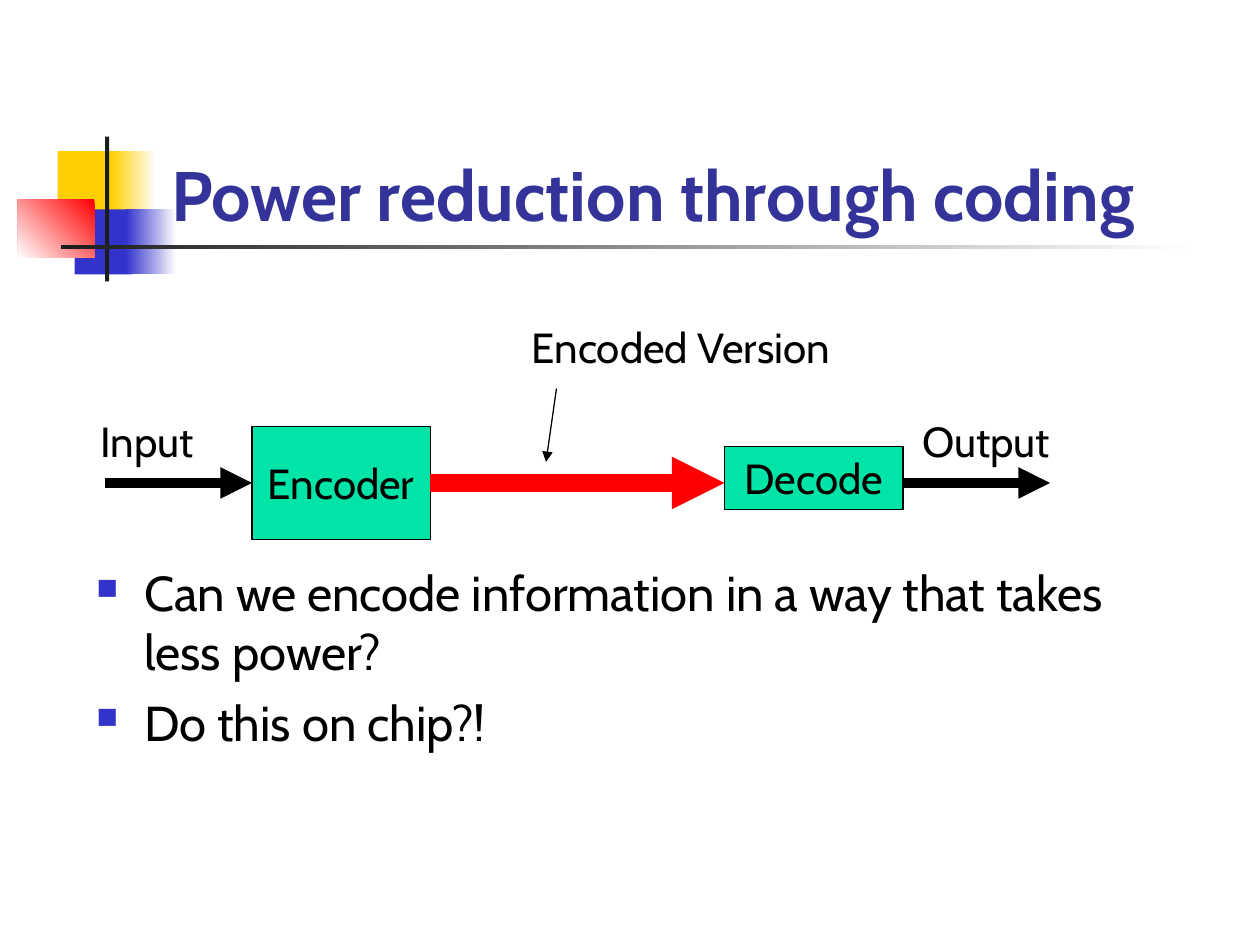
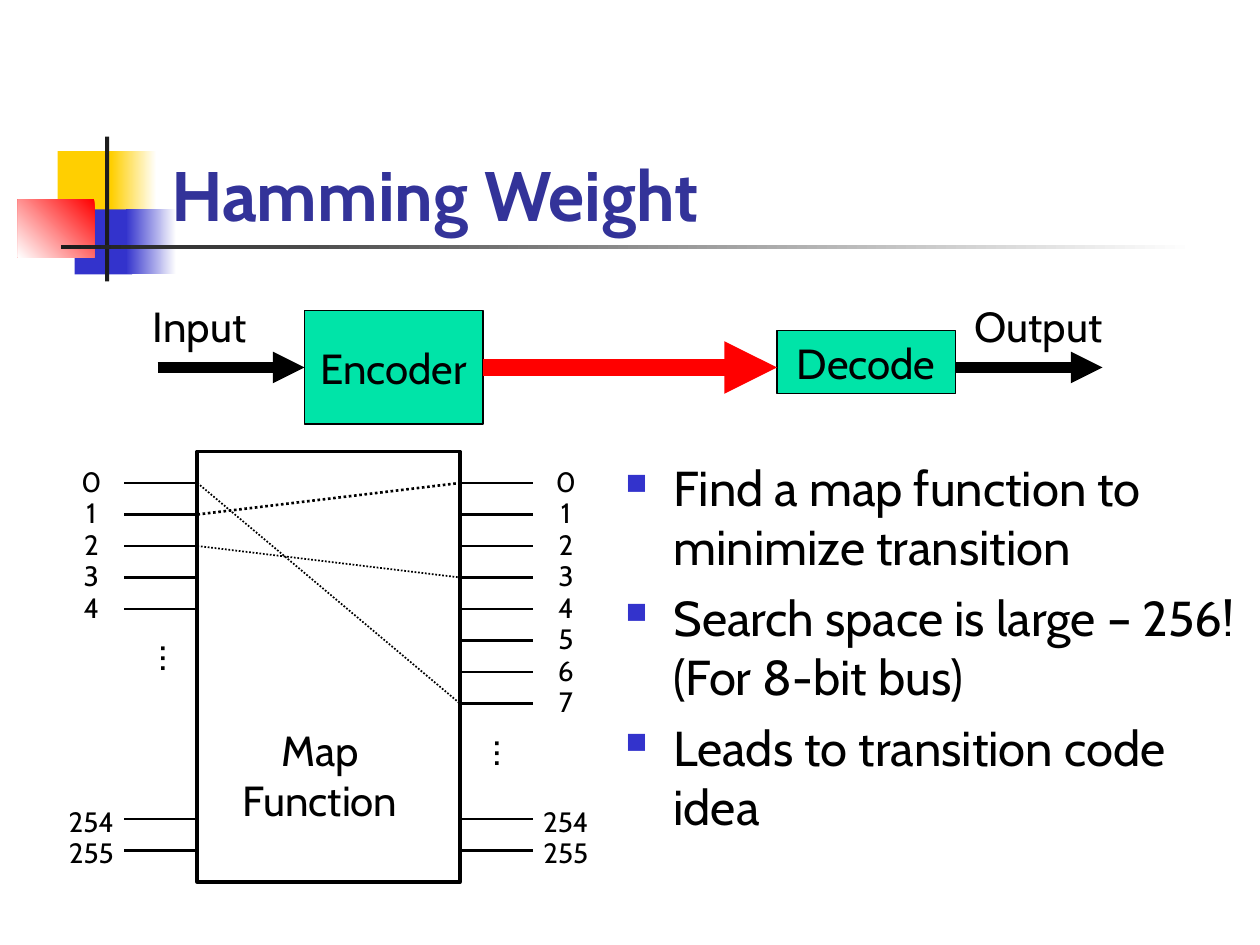
import lxml.etree
import pptx
import pptx.dml.color
import pptx.enum.dml
import pptx.enum.shapes
import pptx.enum.text
import pptx.oxml.ns
import pptx.util

CELL = pptx.util.Inches(1) / 12
COLUMNS, ROWS = 120, 90
FONT = "Cabin"
BLACK, WHITE, INK = "000000", "FFFFFF", "1C1C1C"
YELLOW, BLUE, RED, GREEN, TITLE = "FFCF01", "3333CC", "FF0000", "00E4A8", "333399"
LEFT = pptx.enum.text.PP_ALIGN.LEFT
CENTER = pptx.enum.text.PP_ALIGN.CENTER
DOTTED = pptx.enum.dml.MSO_LINE.ROUND_DOT

MARKS = [
    ((5.5, 14.4, 5.8, 6.2), (YELLOW,), 0),
    ((10.6, 14.4, 4.3, 6.2), (WHITE, YELLOW), 180),
    ((7.1, 19.95, 5.5, 6.2), (BLUE,), 0),
    ((12, 19.95, 4.8, 6.2), (WHITE, BLUE), 180),
    ((1.7, 19, 7.3, 5.5), (RED, WHITE), 225),
    ((10, 13, 0.4, 13.8), (INK,), 0),
    ((5.8, 23.35, 108, 0.4), (WHITE, INK), 180),
]
MAP_LEFT, MAP_TOP, MAP_WIDTH, MAP_HEIGHT = 18.8, 43, 25, 41
MAP_RIGHT = MAP_LEFT + MAP_WIDTH
PORT = 7


def cells(*counts):
    return [pptx.util.Emu(round(n * CELL)) for n in counts]


def rgb(color):
    return pptx.dml.color.RGBColor.from_string(color)


def apply(target, **values):
    for name, value in values.items():
        setattr(target, name, value)


def add_xml(parent, tag, **attributes):
    return lxml.etree.SubElement(parent, pptx.oxml.ns.qn(tag), attributes)


def write(tf, lines, size, color=BLACK, align=CENTER, bold=False):
    for i, line in enumerate(lines):
        p = tf.paragraphs[0] if i == 0 else tf.add_paragraph()
        p.alignment = align
        r = p.add_run()
        r.text = line
        apply(r.font, name=FONT, size=pptx.util.Pt(size), bold=bold)
        r.font.color.rgb = rgb(color)


def add_rect(parent, box, colors=(), angle=0, line=None):
    sp = parent.shapes.add_shape(
        pptx.enum.shapes.MSO_SHAPE.RECTANGLE, *cells(*box))
    sp.shadow.inherit = False
    if len(colors) == 2:
        sp.fill.gradient()
        sp.fill.gradient_angle = angle
        for stop, color in zip(sp.fill.gradient_stops, colors):
            stop.color.rgb = rgb(color)
    elif colors:
        sp.fill.solid()
        sp.fill.fore_color.rgb = rgb(colors[0])
    else:
        sp.fill.background()
    if line:
        sp.line.color.rgb = rgb(BLACK)
        sp.line.width = pptx.util.Pt(line)
    else:
        sp.line.fill.background()
    return sp


def add_block(parent, box, text):
    sp = add_rect(parent, box, (GREEN,), line=0.75)
    sp.text_frame.vertical_anchor = pptx.enum.text.MSO_ANCHOR.MIDDLE
    write(sp.text_frame, [text], 24)
    return sp


def add_line(parent, start, end, width, color=BLACK, dash=None, arrow=False):
    c = parent.shapes.add_connector(
        pptx.enum.shapes.MSO_CONNECTOR.STRAIGHT, *cells(*start, *end))
    c.line.color.rgb = rgb(color)
    c.line.width = pptx.util.Pt(width)
    if dash:
        c.line.dash_style = dash
    spPr = c.element.spPr
    if arrow:
        add_xml(spPr.find(pptx.oxml.ns.qn("a:ln")), "a:tailEnd", type="triangle")
    add_xml(spPr, "a:effectLst")
    return c


def add_label(parent, center, top, lines, size=24, width=20):
    height = 6 * len(lines) if size == 24 else 4.4
    tb = parent.shapes.add_textbox(
        *cells(center - width / 2, top, width, height))
    tb.text_frame.word_wrap = False
    write(tb.text_frame, lines, size)


def add_ellipsis(parent, left, top):
    tb = parent.shapes.add_textbox(*cells(left, top, 7.2, 4.4))
    wide, narrow = pptx.util.Inches(0.1), pptx.util.Inches(0.05)
    apply(tb.text_frame, word_wrap=False,
          auto_size=pptx.enum.text.MSO_AUTO_SIZE.SHAPE_TO_FIT_TEXT,
          margin_left=narrow, margin_right=narrow,
          margin_top=wide, margin_bottom=wide)
    tb.element.txBody.bodyPr.set("vert", "eaVert")
    write(tb.text_frame, ["…"], 24, align=LEFT)


def add_bullets(slide, box, lines):
    tf = slide.shapes.add_textbox(*cells(*box)).text_frame
    tf.word_wrap = True
    write(tf, lines, 28, align=LEFT)
    indent = pptx.util.Inches(0.38)
    for i, p in enumerate(tf.paragraphs):
        p.space_before = pptx.util.Pt(7 if i else 0)
        pPr = p._p.get_or_add_pPr()
        pPr.set("marL", str(int(indent)))
        pPr.set("indent", str(-int(indent)))
        add_xml(add_xml(pPr, "a:buClr"), "a:srgbClr", val=BLUE)
        add_xml(pPr, "a:buSzPct", val="60000")
        add_xml(pPr, "a:buFont", typeface="Wingdings", charset="2")
        add_xml(pPr, "a:buChar", char="n")


def add_slide(prs, title):
    slide = prs.slides.add_slide(prs.slide_layouts[5])
    sp = slide.shapes.title
    left, top, width, height = cells(15.1, 8.05, 102.2, 15)
    apply(sp, left=left, top=top, width=width, height=height)
    apply(sp.text_frame, word_wrap=True,
          auto_size=pptx.enum.text.MSO_AUTO_SIZE.NONE,
          vertical_anchor=pptx.enum.text.MSO_ANCHOR.BOTTOM)
    write(sp.text_frame, [title], 40, TITLE, LEFT, True)
    return slide


def decorate_layout(slide):
    tree = slide.slide_layout.shapes.element
    for i, (box, colors, angle) in enumerate(MARKS):
        sp = add_rect(slide, box, colors, angle)
        sp.element.nvSpPr.cNvPr.id = 20 + i
        tree.insert(2 + i, sp.element)


def add_coding_chain(slide, x, axis):
    group = slide.shapes.add_group_shape()
    encoder = add_block(group, (x + 14, axis - 5.4, 17, 10.8), "Encoder")
    add_block(group, (x + 59, axis - 3.5, 17, 6), "Decode")
    bus = add_line(group, (x + 31, axis), (x + 59, axis), 10, RED, arrow=True)
    bus.begin_connect(encoder, 3)
    source = add_line(group, (x, axis), (x + 14, axis), 6, arrow=True)
    source.end_connect(encoder, 1)
    add_line(group, (x + 76, axis), (x + 90, axis), 6, arrow=True)
    add_label(group, x + 83.9, axis - 7, ["Output"])
    add_label(group, x + 4, axis - 7, ["Input"])


def port_row(n):
    return 46 + 3 * n if n < 8 else 81 - 3 * (255 - n)


def add_ports(group, numbers, edge, outer, label_center):
    for n in numbers:
        row = port_row(n)
        add_line(group, (edge, row), (outer, row), 1.5)
        add_label(group, label_center, row - (2.35 if n < 8 else 2),
                  [str(n)], 16, 7)


def add_map_function(slide):
    group = slide.shapes.add_group_shape()
    add_rect(group, (MAP_LEFT, MAP_TOP, MAP_WIDTH, MAP_HEIGHT), line=2.25)
    for source, target, width in [(0, 7, 1), (1, 0, 1.5), (2, 3, 1)]:
        add_line(group, (MAP_LEFT, port_row(source)),
                 (MAP_RIGHT, port_row(target)), width, dash=DOTTED)
    add_ports(group, [*range(5), 254, 255], MAP_LEFT, MAP_LEFT - PORT, 8.7)
    add_ports(group, [*range(8), 254, 255], MAP_RIGHT, MAP_RIGHT + PORT, 53.9)
    add_ellipsis(group, 12.8, 60.2)
    add_ellipsis(group, 44.6, 69.2)
    add_label(group, 30.5, 68.4, ["Map", "Function"])


def main():
    prs = pptx.Presentation()
    prs.slide_width, prs.slide_height = cells(COLUMNS, ROWS)

    slide = add_slide(prs, "Power reduction through coding")
    decorate_layout(slide)
    add_bullets(slide, (8, 53, 102, 28.4), [
        "Can we encode information in a way that takes less power?",
        "Do this on chip?!"])
    add_label(slide, 64.85, 30, ["Encoded Version"], width=33.7)
    add_line(slide, (53, 37), (52, 44), 0.75, arrow=True)
    add_coding_chain(slide, 10, 46)

    slide = add_slide(prs, "Hamming Weight")
    add_bullets(slide, (58.4, 43, 61.6, 47), [
        "Find a map function to minimize transition",
        "Search space is large – 256! (For 8-bit bus)",
        "Leads to transition code idea"])
    add_map_function(slide)
    add_coding_chain(slide, 15, 35)

    prs.save("out.pptx")


if __name__ == "__main__":
    main()
